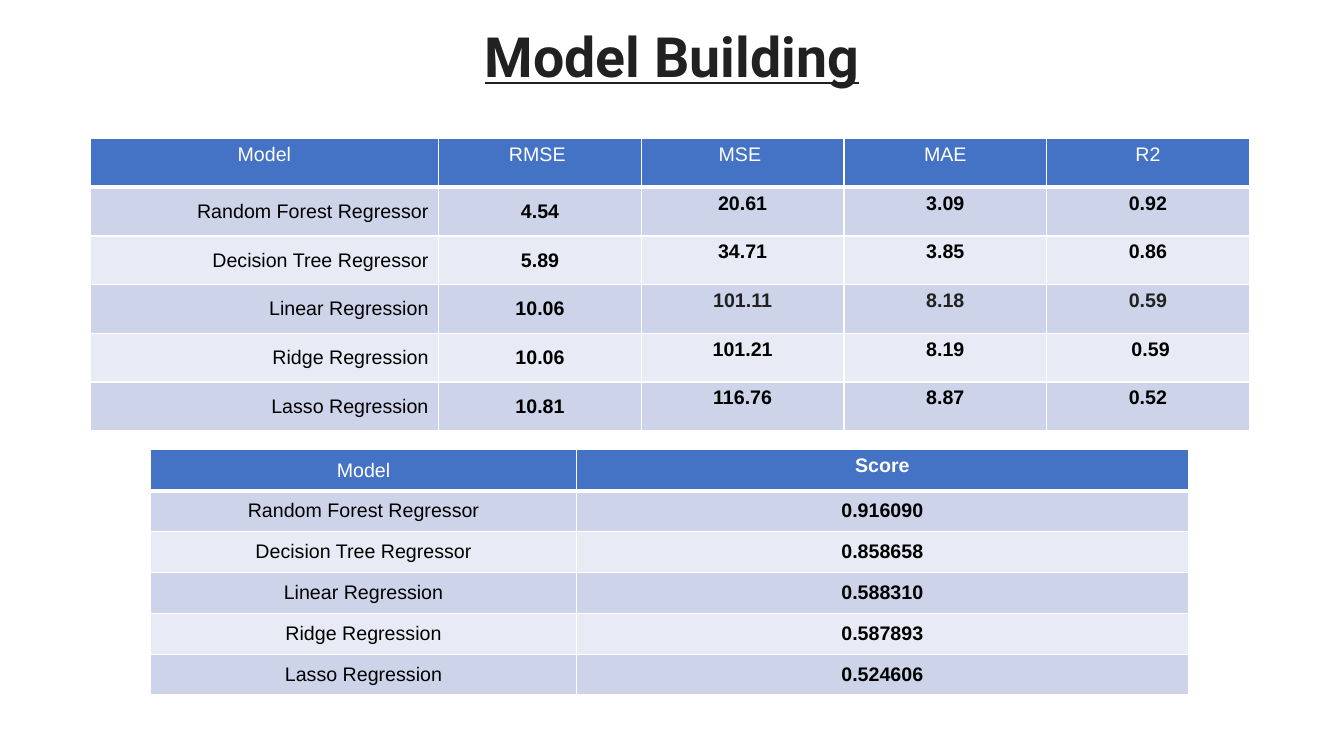
from dataclasses import dataclass

from lxml.etree import SubElement, fromstring
from pptx import Presentation
from pptx.dml.color import RGBColor as RGB
from pptx.enum.text import MSO_ANCHOR as Anchor, MSO_AUTO_SIZE as AutoSize, PP_ALIGN as Align
from pptx.oxml.ns import nsdecls, qn
from pptx.slide import Slide
from pptx.table import _Cell as Cell
from pptx.text.text import _Run as Run
from pptx.util import Pt


@dataclass(frozen=True)
class Theme:
    title_font: str = "Roboto"
    body_font: str = "Arial"
    title_size: float = 39.6
    body_size: float = 14
    dark: str = "212121"
    black: str = "000000"
    white: str = "FFFFFF"
    header: str = "4472C4"
    bands: tuple[str, str] = ("CDD4EA", "E8EBF5")
    thin: float = 1
    thick: float = 3


@dataclass(frozen=True)
class TableSpec:
    left: float
    top: float
    widths: tuple[float, ...]
    row_height: float
    header: tuple[str, ...]
    values: tuple[tuple[str, ...], ...]
    label_align: Align
    top_cells: frozenset[tuple[int, int]]
    bold_headers: frozenset[str] = frozenset()
    dark_cells: frozenset[tuple[int, int]] = frozenset()


THEME = Theme()
MODELS = (
    "Random Forest Regressor",
    "Decision Tree Regressor",
    "Linear Regression",
    "Ridge Regression",
    "Lasso Regression",
)

ERRORS = TableSpec(
    left=64.3, top=99, widths=(249.1,) + (144.75,) * 4, row_height=34.8,
    header=("Model", "RMSE ", "MSE ", "MAE", "R2"),
    values=(
        ("4.54", "20.61", "3.09", "0.92"),
        ("5.89", "34.71", "3.85", "0.86"),
        ("10.06", "101.11", "8.18", "0.59"),
        ("10.06", "101.21", "8.19", " 0.59"),
        ("10.81", "116.76", "8.87", "0.52"),
    ),
    label_align=Align.RIGHT,
    top_cells=frozenset((i, j) for i in range(6) for j in range(5) if i == 0 or j > 1),
    dark_cells=frozenset((3, j) for j in range(2, 5)),
)

SCORES = TableSpec(
    left=107.6, top=321.3, widths=(304.2, 437), row_height=29.2,
    header=("Model", "Score"),
    values=(("0.916090",), ("0.858658",), ("0.588310",), ("0.587893",), ("0.524606",)),
    label_align=Align.CENTER,
    top_cells=frozenset({(0, 1)}),
    bold_headers=frozenset({"Score"}),
)


def format_run(r: Run, font: str, size: float, color: str, bold: bool) -> None:
    r.font.name = font
    r.font.size = Pt(size)
    r.font.color.rgb = RGB.from_string(color)
    r.font.bold = bold


def set_borders(cell: Cell, top: float, bottom: float) -> None:
    tc_pr = cell._tc.get_or_add_tcPr()
    widths = {"lnL": THEME.thin, "lnR": THEME.thin, "lnT": top, "lnB": bottom}
    for i, (tag, width) in enumerate(widths.items()):
        ln = fromstring(f'<a:{tag} {nsdecls("a")} w="{Pt(width)}"/>')
        fill = SubElement(ln, qn("a:solidFill"))
        SubElement(fill, qn("a:srgbClr"), val=THEME.white)
        tc_pr.insert(i, ln)


def add_title(s: Slide, text: str) -> None:
    sp = s.shapes.title
    sp.left, sp.top, sp.width, sp.height = Pt(66), Pt(28.8), Pt(828), Pt(69.8)
    tf = sp.text_frame
    tf.text = text
    tf.word_wrap = True
    tf.auto_size = AutoSize.NONE
    tf.vertical_anchor = Anchor.MIDDLE
    tf.margin_top, tf.margin_bottom = Pt(3.6), Pt(46)
    p = tf.paragraphs[0]
    p.alignment = Align.CENTER
    p.line_spacing = 0.9
    r = p.runs[0]
    format_run(r, THEME.title_font, THEME.title_size, THEME.dark, True)
    r.font.underline = True


def fill_cell(cell: Cell, t: TableSpec, i: int, j: int, text: str) -> None:
    is_header = i == 0
    cell.fill.solid()
    band = THEME.header if is_header else THEME.bands[(i - 1) % 2]
    cell.fill.fore_color.rgb = RGB.from_string(band)
    cell.vertical_anchor = Anchor.TOP if (i, j) in t.top_cells else Anchor.MIDDLE
    set_borders(
        cell,
        THEME.thick if i == 1 else THEME.thin,
        THEME.thick if is_header else THEME.thin,
    )
    p = cell.text_frame.paragraphs[0]
    p.text = text
    p.alignment = t.label_align if j == 0 and not is_header else Align.CENTER
    if is_header:
        color, bold = THEME.white, text in t.bold_headers
    else:
        color = THEME.dark if (i, j) in t.dark_cells else THEME.black
        bold = j > 0
    format_run(p.runs[0], THEME.body_font, THEME.body_size, color, bold)


def add_model_table(s: Slide, t: TableSpec) -> None:
    rows = [t.header] + [(model, *vals) for model, vals in zip(MODELS, t.values)]
    table = s.shapes.add_table(
        len(rows), len(t.widths), Pt(t.left), Pt(t.top),
        Pt(sum(t.widths)), Pt(t.row_height * len(rows)),
    ).table
    for col, width in zip(table.columns, t.widths):
        col.width = Pt(width)
    for i, row in enumerate(rows):
        table.rows[i].height = Pt(t.row_height)
        for j, text in enumerate(row):
            fill_cell(table.cell(i, j), t, i, j, text)


def main() -> None:
    prs = Presentation()
    prs.slide_width, prs.slide_height = Pt(960), Pt(540)
    s = prs.slides.add_slide(prs.slide_layouts[5])
    add_title(s, "Model Building")
    for t in (ERRORS, SCORES):
        add_model_table(s, t)
    prs.save("out.pptx")


if __name__ == "__main__":
    main()
